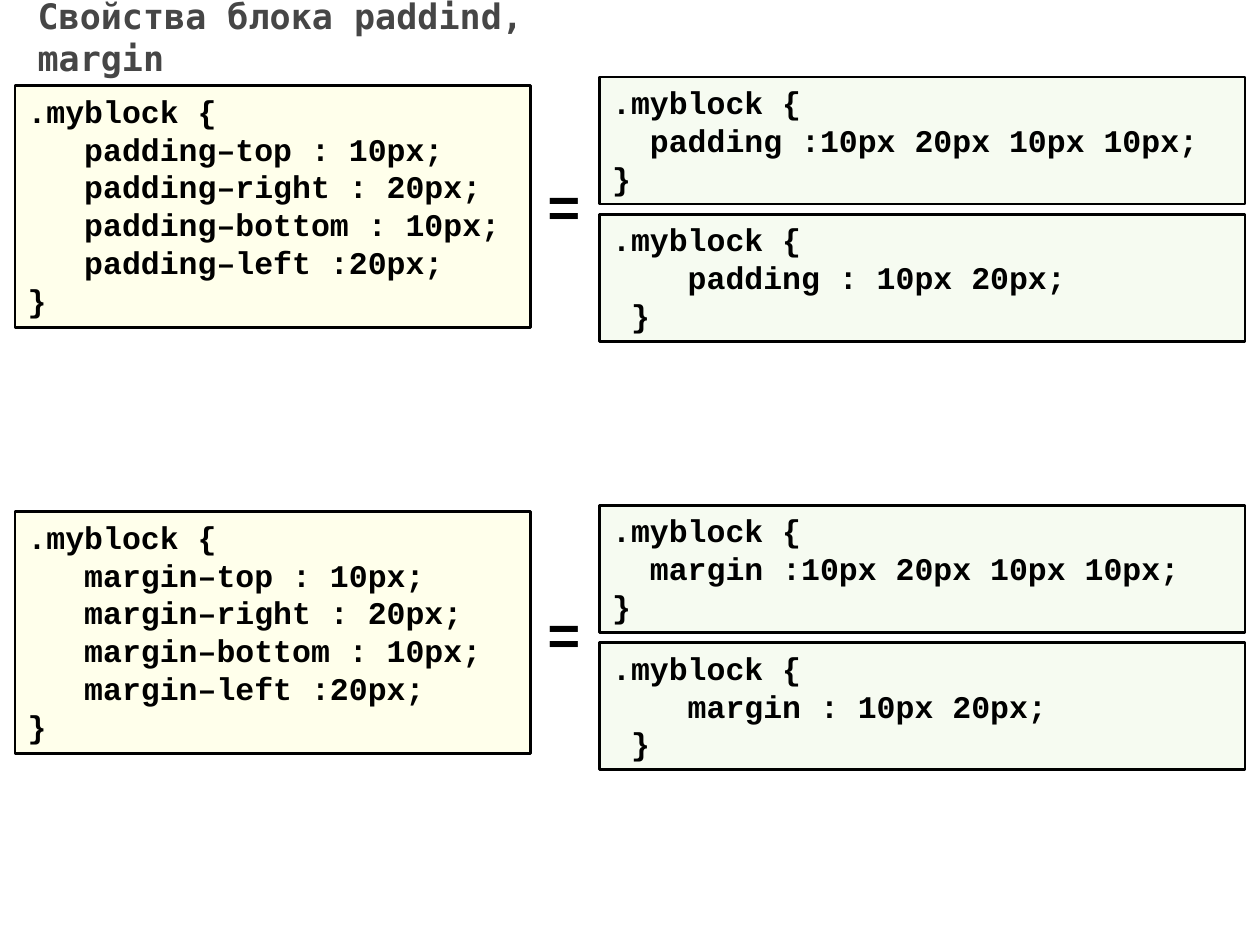
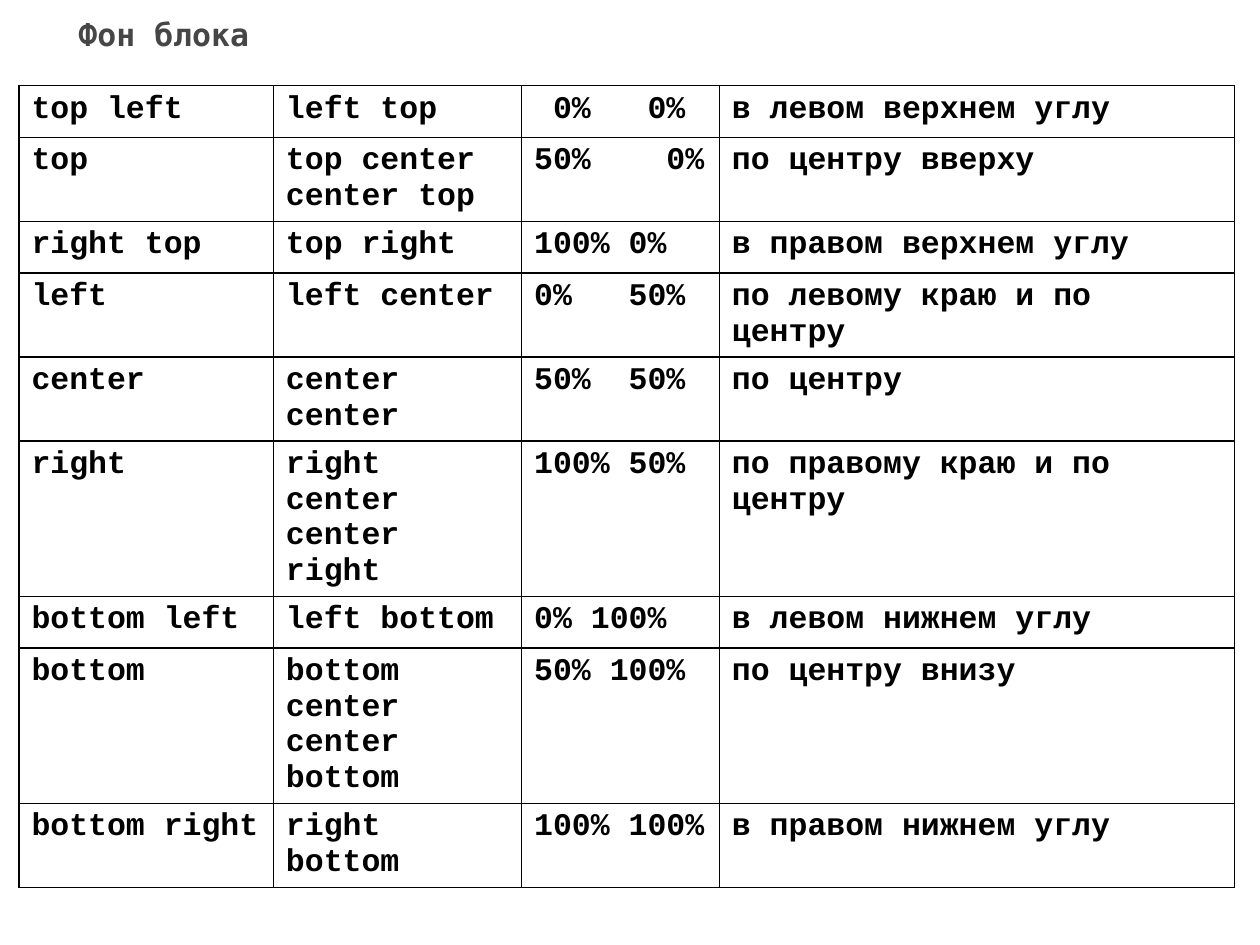
from dataclasses import dataclass

from lxml.etree import SubElement
from pptx import Presentation
from pptx.dml.color import RGBColor
from pptx.enum.shapes import MSO_SHAPE
from pptx.enum.text import MSO_ANCHOR, PP_ALIGN
from pptx.oxml.ns import qn
from pptx.util import Inches, Pt


@dataclass(frozen=True)
class Theme:
    ink: str = "000000"
    paper: str = "FFFFFF"
    title_ink: str = "464646"
    long_form: str = "FFFF00"
    short_form: str = "92D050"
    tint: int = 8
    code_font: str = "Courier New"
    title_font: str = "DejaVu Sans Mono"
    code_size: int = 18
    equals_size: int = 32
    table_spacing: float = 20.4
    box_line: float = 1.5
    table_line: float = 1


THEME = Theme()

PROPERTIES_TITLE = "Свойства блока paddind, margin"
BACKGROUND_TITLE = "Фон блока"

LONG_FORM = """.myblock {{
   {0}–top : 10px;
   {0}–right : 20px;
   {0}–bottom : 10px;
   {0}–left :20px;
}}"""
SHORT_FORMS = [
    """.myblock {{
  {0} :10px 20px 10px 10px;
}}""",
    """.myblock {{
    {0} : 10px 20px;
 }}""",
]
# property, top of the short forms, top of the long form, top of the equals sign
EQUIVALENCES = [("padding", 0.61, 0.68, 1.31), ("margin", 4.01, 4.06, 4.71)]

LONG_LEFT, LONG_WIDTH, LONG_HEIGHT = 0.12, 4.09, 1.92
SHORT_LEFT, SHORT_WIDTH, SHORT_HEIGHT, SHORT_STEP = 4.76, 5.12, 1.01, 1.09
EQUALS_LEFT, EQUALS_WIDTH, EQUALS_HEIGHT = 4.25, 0.51, 0.64

# cells of a row, lines its tallest cell takes, tab stops of the percentages in characters
POSITIONS = [
    (("top left", "left top", "\t0%\t0%", "в левом верхнем углу"), 1, (1, 6)),
    (("top", "top center\ncenter top", "50%\t0%", "по центру вверху"), 2, (7,)),
    (("right top", "top right", "100% 0%", "в правом верхнем углу"), 1, ()),
    (("left", "left center", "0%\t50%", "по левому краю и по центру"), 2, (5,)),
    (("center", "center center", "50%\t50%", "по центру"), 2, (5,)),
    (("right", "right center\ncenter right", "100% 50%", "по правому краю и по центру"), 4, ()),
    (("bottom left", "left bottom", "0% 100%", "в левом нижнем углу"), 1, ()),
    (("bottom", "bottom center\ncenter bottom", "50% 100%", "по центру внизу"), 4, ()),
    (("bottom right", "right bottom", "100% 100%", "в правом нижнем углу"), 2, ()),
]
TABLE_LEFT, TABLE_TOP = 0.15, 0.68
COLUMN_WIDTHS = (2.02, 1.97, 1.57, 4.09)
PERCENT_COLUMN = 2
CHARACTER_WIDTH = 0.15
MINIMUM_ROW, ROW_PADDING = 0.41, 0.1


def colour(value):
    return RGBColor.from_string(value)


def write(text_frame, text, size, font=THEME.code_font, ink=THEME.ink,
          align=PP_ALIGN.LEFT, spacing=None):
    text_frame.text = text
    for paragraph in text_frame.paragraphs:
        paragraph.alignment = align
        paragraph.line_spacing = spacing
        for run in paragraph.runs:
            run.font.size = Pt(size)
            run.font.name = font
            run.font.bold = True
            run.font.color.rgb = colour(ink)


def add_rectangle(slide, area, fill, anchor):
    box = slide.shapes.add_shape(MSO_SHAPE.RECTANGLE, *map(Inches, area))
    box.shadow.inherit = False
    box.fill.solid()
    box.fill.fore_color.rgb = colour(fill)
    box.text_frame.word_wrap = True
    box.text_frame.vertical_anchor = anchor
    return box


def add_title(slide, text, area, size, align=PP_ALIGN.LEFT):
    box = add_rectangle(slide, area, THEME.paper, MSO_ANCHOR.MIDDLE)
    box.line.fill.background()
    write(box.text_frame, text, size, THEME.title_font, THEME.title_ink, align)


def add_code_box(slide, code, area, fill):
    box = add_rectangle(slide, area, fill, MSO_ANCHOR.TOP)
    fill_colour = box.fill._xPr.find(qn("a:solidFill"))[0]
    SubElement(fill_colour, qn("a:alpha"), val=str(THEME.tint * 1000))
    box.line.color.rgb = colour(THEME.ink)
    box.line.width = Pt(THEME.box_line)
    write(box.text_frame, code, THEME.code_size)


def add_equivalence(slide, name, short_top, long_top, equals_top):
    """Long form on the left, an equals sign, and the short forms stacked on the right."""
    for index, code in enumerate(SHORT_FORMS):
        area = (SHORT_LEFT, short_top + index * SHORT_STEP, SHORT_WIDTH, SHORT_HEIGHT)
        add_code_box(slide, code.format(name), area, THEME.short_form)
    add_code_box(slide, LONG_FORM.format(name),
                 (LONG_LEFT, long_top, LONG_WIDTH, LONG_HEIGHT), THEME.long_form)
    equals = slide.shapes.add_textbox(
        *map(Inches, (EQUALS_LEFT, equals_top, EQUALS_WIDTH, EQUALS_HEIGHT)))
    equals.text_frame.word_wrap = True
    write(equals.text_frame, "=", THEME.equals_size)


def add_borders(cell):
    properties = cell._tc.get_or_add_tcPr()
    for index, side in enumerate(("lnL", "lnR", "lnT", "lnB")):
        line = SubElement(properties, qn(f"a:{side}"), w=str(Pt(THEME.table_line)))
        fill = SubElement(line, qn("a:solidFill"))
        SubElement(fill, qn("a:srgbClr"), val=THEME.ink)
        properties.insert(index, line)


def add_tab_stops(paragraph, characters):
    tabs = SubElement(paragraph._p.get_or_add_pPr(), qn("a:tabLst"))
    for count in characters:
        SubElement(tabs, qn("a:tab"), pos=str(Inches(count * CHARACTER_WIDTH)), algn="l")


def add_positions_table(slide):
    line_height = Pt(THEME.table_spacing).inches
    heights = [max(MINIMUM_ROW, ROW_PADDING + lines * line_height) for _, lines, _ in POSITIONS]
    frame = slide.shapes.add_table(
        len(POSITIONS), len(COLUMN_WIDTHS),
        *map(Inches, (TABLE_LEFT, TABLE_TOP, sum(COLUMN_WIDTHS), sum(heights))))
    table = frame.table
    table.first_row = table.horz_banding = False
    for column, width in zip(table.columns, COLUMN_WIDTHS):
        column.width = Inches(width)
    for row, height, (texts, _, stops) in zip(table.rows, heights, POSITIONS):
        row.height = Inches(height)
        for cell, text in zip(row.cells, texts):
            cell.fill.solid()
            cell.fill.fore_color.rgb = colour(THEME.paper)
            add_borders(cell)
            write(cell.text_frame, text, THEME.code_size, spacing=Pt(THEME.table_spacing))
        if stops:
            add_tab_stops(row.cells[PERCENT_COLUMN].text_frame.paragraphs[0], stops)


def main():
    presentation = Presentation()
    presentation.slide_width, presentation.slide_height = Inches(10), Inches(7.5)
    blank = presentation.slide_layouts[6]

    properties_slide = presentation.slides.add_slide(blank)
    add_title(properties_slide, PROPERTIES_TITLE, (0.2, 0.06, 5.04, 0.46), 20)
    for equivalence in EQUIVALENCES:
        add_equivalence(properties_slide, *equivalence)

    background_slide = presentation.slides.add_slide(blank)
    add_title(background_slide, BACKGROUND_TITLE, (0.12, 0.1, 2.36, 0.34), 18, PP_ALIGN.CENTER)
    add_positions_table(background_slide)

    presentation.save("out.pptx")


if __name__ == "__main__":
    main()
